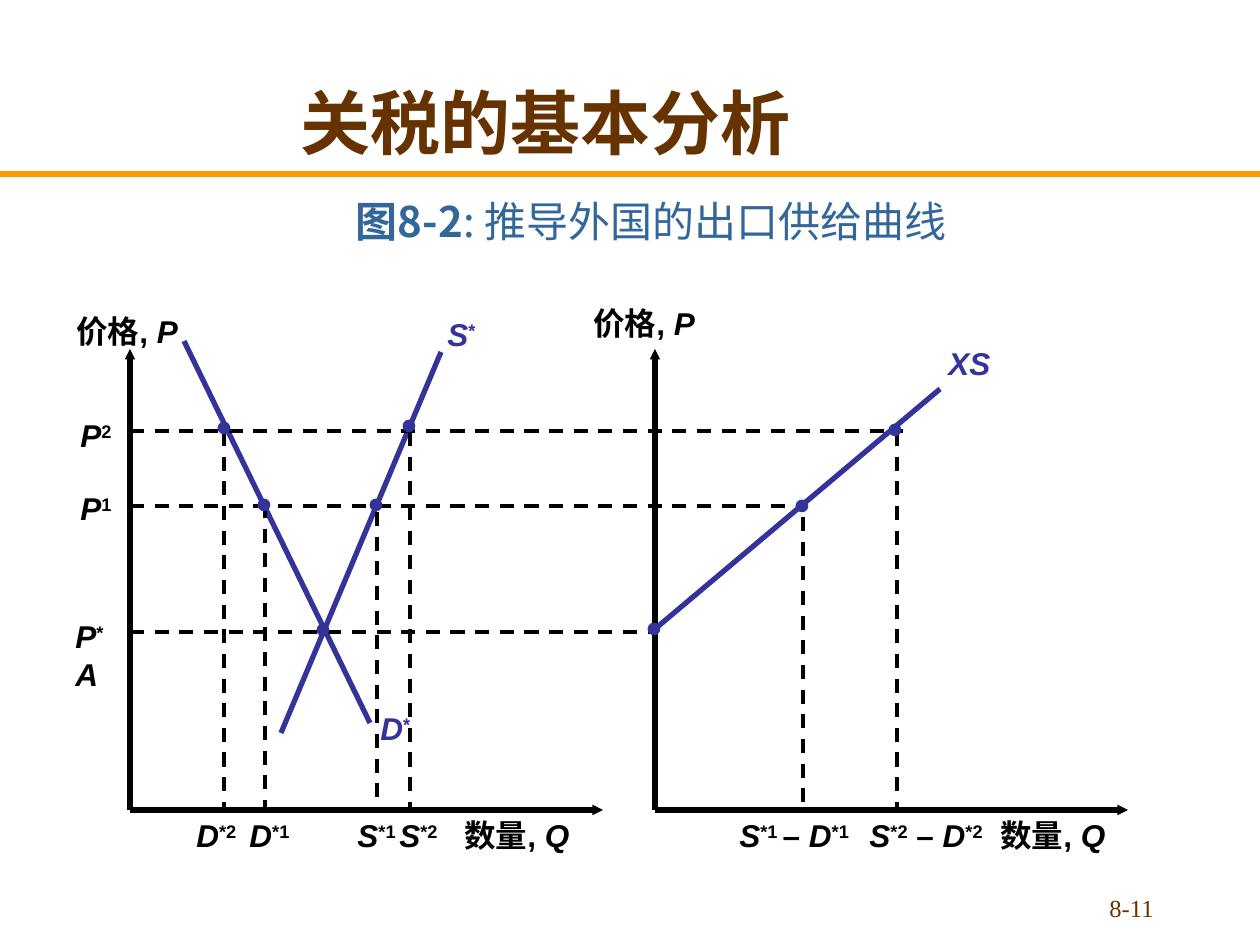
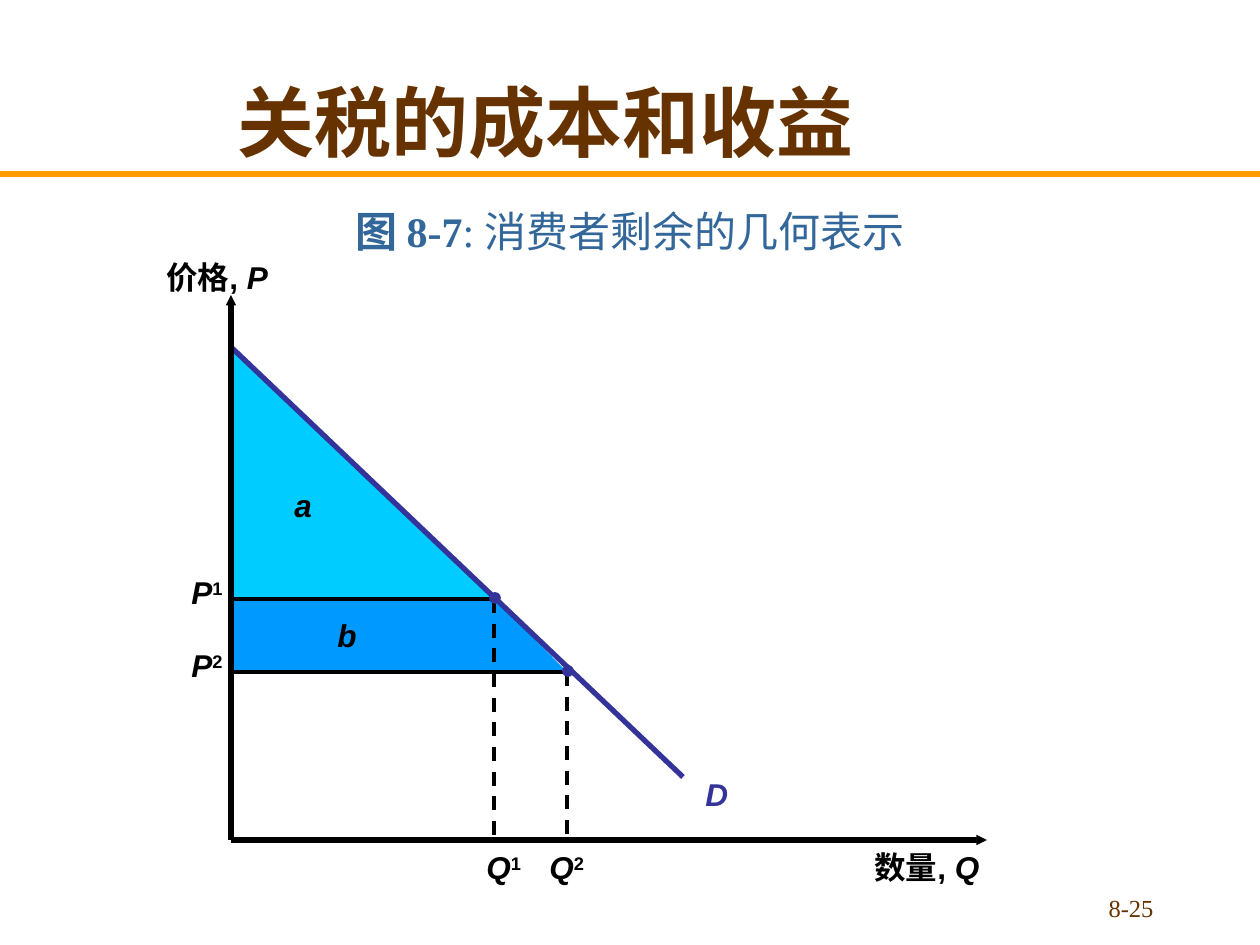
from dataclasses import dataclass

from lxml.etree import SubElement
from pptx import Presentation
from pptx.dml.color import RGBColor
from pptx.enum.dml import MSO_LINE
from pptx.enum.shapes import MSO_CONNECTOR, MSO_SHAPE
from pptx.enum.text import MSO_ANCHOR, MSO_AUTO_SIZE, PP_ALIGN
from pptx.oxml.ns import qn
from pptx.util import Emu, Pt

PX_PER_INCH = 126
LABEL_SLACK = 6  # spare width that keeps a label on one line


def px(length):
    return Emu(round(length * 914400 / PX_PER_INCH))


@dataclass(frozen=True)
class Theme:
    # Colours
    brown: str = "663300"
    orange: str = "FF9900"
    steel: str = "336699"
    curve: str = "333399"
    ink: str = "000000"
    cyan: str = "00CCFF"
    azure: str = "0099FF"
    gray: str = "808080"
    # Fonts
    sans: str = "Arial"
    serif: str = "Times New Roman"
    chinese: str = "Noto Sans CJK SC"
    # Type sizes
    caption: int = 24
    label: int = 18
    page: int = 14
    # Line widths
    thick: float = 3
    thin: float = 2
    edge: float = 1


class Deck:
    def __init__(self, theme):
        self.theme = theme
        self.prs = Presentation()
        self.prs.slide_width, self.prs.slide_height = px(1260), px(945)
        self.slide = None

    def set_font(self, paragraph, name, size, color, bold=True):
        font = paragraph.font
        font.name, font.size, font.bold = name, Pt(size), bold
        font.color.rgb = RGBColor.from_string(color)
        latin = paragraph._p.pPr.find(qn("a:defRPr")).find(qn("a:latin"))
        east_asian = latin.makeelement(qn("a:ea"), {"typeface": self.theme.chinese})
        latin.addnext(east_asian)

    def new_slide(self, title, title_size, title_font, page):
        t = self.theme
        self.slide = self.prs.slides.add_slide(self.prs.slide_layouts[5])
        # Rule under the title
        self.line((0, 174), (1260, 174), t.orange)
        # Title
        heading = self.slide.shapes.title
        heading.left, heading.top, heading.width, heading.height = map(px, (10, 42, 1071, 158))
        frame = heading.text_frame
        frame.text = title
        frame.auto_size = MSO_AUTO_SIZE.NONE
        frame.vertical_anchor = MSO_ANCHOR.MIDDLE
        frame.paragraphs[0].alignment = PP_ALIGN.CENTER
        self.set_font(frame.paragraphs[0], title_font, title_size, t.brown)
        # Page number
        number = self.text_box(903, 887, 263, 38).paragraphs[0]
        number.alignment = PP_ALIGN.RIGHT
        number.add_run().text = page
        self.set_font(number, t.serif, t.page, t.brown, bold=False)

    def text_box(self, x, y, width, height):
        frame = self.slide.shapes.add_textbox(*map(px, (x, y, width, height))).text_frame
        frame.word_wrap = True
        return frame

    def caption(self, x, y, width, height, pieces):
        """Pieces are (text, bold, font) triples."""
        frame = self.text_box(x, y, width, height)
        frame.vertical_anchor = MSO_ANCHOR.BOTTOM
        paragraph = frame.paragraphs[0]
        paragraph.alignment = PP_ALIGN.CENTER
        for text, bold, font in pieces:
            run = paragraph.add_run()
            run.text = text
            run.font.bold, run.font.name = bold, font
        self.set_font(paragraph, self.theme.chinese, self.theme.caption, self.theme.steel)

    def label(self, x, y, width, markup, color=None):
        """Pieces are split by |; ^ raises a piece, Latin letters are italic."""
        t = self.theme
        frame = self.text_box(x, y, width + LABEL_SLACK, 50)
        frame.word_wrap = False
        frame.auto_size = MSO_AUTO_SIZE.SHAPE_TO_FIT_TEXT
        paragraph = frame.paragraphs[0]
        for piece in markup.split("|"):
            if piece == "\n":
                paragraph.add_line_break()
                continue
            run = paragraph.add_run()
            run.text = piece.lstrip("^")
            run.font.italic = piece.isascii() and piece.isalpha()
            if piece.startswith("^"):
                run._r.get_or_add_rPr().set("baseline", "30000")
        self.set_font(paragraph, t.sans, t.label, color or t.ink)

    def line(self, start, end, color=None, width=None, dashed=False, arrow=False):
        t = self.theme
        connector = self.slide.shapes.add_connector(
            MSO_CONNECTOR.STRAIGHT, *map(px, (*start, *end)))
        connector.line.color.rgb = RGBColor.from_string(color or t.ink)
        connector.line.width = Pt(width or t.thick)
        if dashed:
            connector.line.dash_style = MSO_LINE.DASH
        properties = connector._element.spPr
        if arrow:
            SubElement(properties.find(qn("a:ln")), qn("a:headEnd"),
                       type="triangle", w="sm", len="sm")
        SubElement(properties, qn("a:effectLst"))

    def guide(self, start, end, dashed=True):
        self.line(start, end, width=self.theme.thin, dashed=dashed)

    def axes(self, x, y, top, right):
        for tip in ((x, top), (right, y)):
            self.line(tip, (x, y), arrow=True)

    def area(self, kind, x, y, width, height, fill, outline=None):
        shape = self.slide.shapes.add_shape(kind, *map(px, (x, y, width, height)))
        shape.shadow.inherit = False
        shape.fill.solid()
        shape.fill.fore_color.rgb = RGBColor.from_string(fill)
        if outline:
            shape.line.color.rgb = RGBColor.from_string(outline)
            shape.line.width = Pt(self.theme.edge)
        else:
            shape.line.fill.background()

    def dot(self, x, y, size=11):
        self.area(MSO_SHAPE.OVAL, x - size / 2, y - size / 2, size, size,
                  self.theme.curve, self.theme.curve)


def export_supply(deck):
    t = deck.theme
    deck.new_slide("关税的基本分析", 40, t.chinese, "8-11")
    deck.caption(0, 94, 1302, 158, [("图8-2", True, t.chinese),
                                    (": 推导外国的出口供给曲线", False, t.chinese)])
    home_x, trade_x, base = 130, 655, 810

    # Curves
    for start, end in (((370, 723), (184, 341)), ((281, 733), (441, 352)),
                       ((940, 389), (trade_x, 629))):
        deck.line(start, end, t.curve)
    for x, y, width, name in ((368, 703, 54, "D|^*"), (435, 309, 53, "S|^*"),
                              (936, 338, 67, "XS")):
        deck.label(x, y, width, name, t.curve)

    # Axes of both diagrams
    for origin, price_x, price_y, quantity_x in ((home_x, 64, 306, 452),
                                                 (trade_x, 581, 298, 988)):
        deck.axes(origin, base, 349, origin + 473)
        deck.label(price_x, price_y, 134, "价格, |P")
        deck.label(quantity_x, base, 137, "数量, |Q")

    # Price levels
    for y, right in ((431, 903), (506, 803), (632, trade_x)):
        deck.guide((home_x, y), (right, y))
    for x, y, width, name in ((68, 410, 57, "P|^2"), (68, 483, 57, "P|^1"),
                              (63, 611, 67, "P|^*|\n|A")):
        deck.label(x, y, width, name)

    # Quantities
    for x, top in ((224, 432), (410, 432), (897, 432),
                   (265, 504), (377, 512), (803, 517)):
        deck.guide((x, top), (x, base))
    for x, width, name in ((184, 66, "D|^*2"), (237, 66, "D|^*1"),
                           (345, 63, "S|^*1"), (387, 63, "S|^*2"),
                           (727, 135, "S|^*1 |– |D|^*1"),
                           (857, 139, "S|^*2| – |D|^*2")):
        deck.label(x, base, width, name)

    # Points on the curves
    for point in ((224, 428), (409, 426), (895, 430), (264, 505), (376, 505),
                  (802, 506), (323, 630), (654, 629)):
        deck.dot(*point)


def consumer_surplus(deck):
    t = deck.theme
    deck.new_slide("关税的成本和收益", 44, t.serif, "8-25")
    deck.caption(0, 178, 1260, 84, [("图 ", True, t.chinese), ("8-7", True, t.serif),
                                    (": ", False, t.serif),
                                    ("消费者剩余的几何表示", False, t.chinese)])
    axis, base, choke = 231, 840, 347
    price_1, price_2 = 599, 672

    # Surplus areas
    deck.area(MSO_SHAPE.RIGHT_TRIANGLE, axis, choke, 266, price_1 - choke, t.cyan, t.gray)
    deck.area(MSO_SHAPE.RECTANGLE, axis, price_1, 265, price_2 - price_1, t.azure)
    deck.area(MSO_SHAPE.RIGHT_TRIANGLE, 495, price_1, 72, price_2 - price_1, t.azure)
    deck.label(282, 480, 43, "a")
    deck.label(325, 610, 44, "b")

    # Demand curve and axes
    deck.line((axis, choke), (683, 777), t.curve)
    deck.label(693, 769, 48, "D", t.curve)
    deck.axes(axis, base, 295, 987)
    deck.label(154, 252, 134, "价格, |P")
    deck.label(862, 842, 137, "数量, |Q")

    # Prices and quantities
    for index, price, quantity, label_x in ((1, price_1, 494, 474),
                                            (2, price_2, 567, 537)):
        deck.guide((axis, price), (quantity, price), dashed=False)
        deck.guide((quantity, price), (quantity, base))
        deck.label(179, price - 32, 57, f"P|^{index}")
        deck.label(label_x, 842, 59, f"Q|^{index}")
        deck.dot(quantity + 1, price - 1, size=10)


def main():
    deck = Deck(Theme())
    export_supply(deck)
    consumer_surplus(deck)
    deck.prs.save("out.pptx")


if __name__ == "__main__":
    main()
